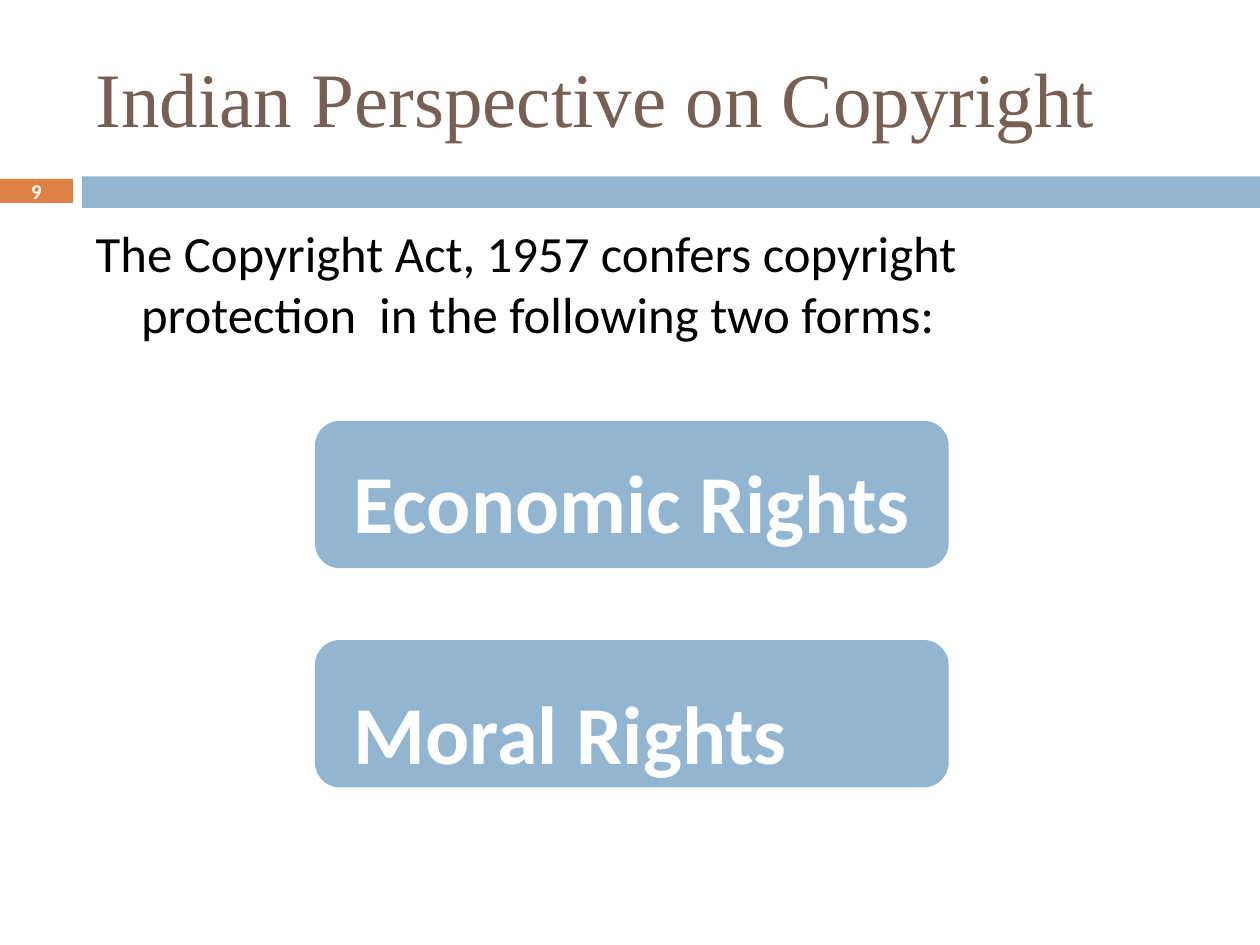
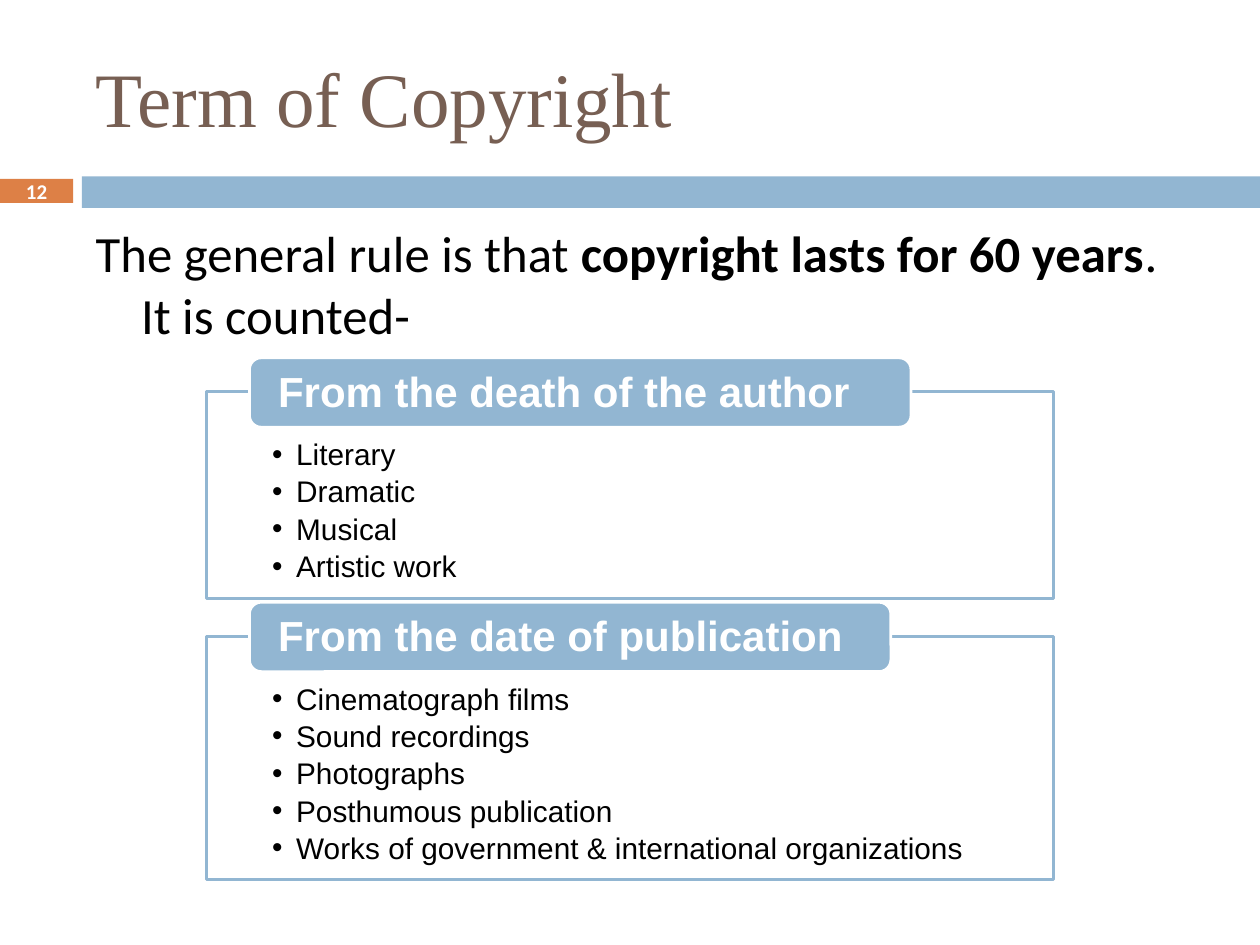
from lxml import etree
from pptx import Presentation
from pptx.dml.color import RGBColor
from pptx.enum.shapes import MSO_SHAPE
from pptx.enum.text import MSO_ANCHOR, MSO_AUTO_SIZE, PP_ALIGN
from pptx.oxml.ns import qn
from pptx.util import Inches, Pt

RECT, ROUNDED = MSO_SHAPE.RECTANGLE, MSO_SHAPE.ROUNDED_RECTANGLE
TOP, MIDDLE = MSO_ANCHOR.TOP, MSO_ANCHOR.MIDDLE
LEFT, CENTER = PP_ALIGN.LEFT, PP_ALIGN.CENTER
FIXED_SIZE = MSO_AUTO_SIZE.NONE
TITLE_AND_CONTENT = 1

BLUE, ORANGE, BROWN, WHITE, BLACK = "92B6D2", "DD8046", "775F53", "FFFFFF", "000000"
CORNER = 0.17

TITLE_FONT = {"name": "Times New Roman", "size": Pt(44), "bold": False}
NUMBER_FONT = {"name": "Calibri", "size": Pt(12), "bold": True}
INTRO_FONT = {"name": "Calibri", "size": Pt(29), "bold": False}
RIGHT_FONT = {"name": "Calibri", "size": Pt(47), "bold": True}
HEADING_FONT = {"name": "Arial", "size": Pt(24), "bold": True}
WORK_FONT = {"name": "Arial", "size": Pt(17), "bold": False}

TITLE_BOX = (0.76, 0.39, 8.5, 0.76)
BAND_BOX = (0.65, 1.4, 9.35, 0.25)
NUMBER_BOX = (0, 1.42, 0.58, 0.19)
INTRO_BOX = (0.76, 1.75, 8.5, 1)


def rgb(hex_colour):
    """Turn a hex string into a colour."""
    return RGBColor.from_string(hex_colour)


def apply(target, values):
    """Set every attribute named in a dict of values."""
    for attribute, value in values.items():
        setattr(target, attribute, value)


def place(shape, box):
    """Move and size a shape to a box in inches."""
    apply(shape, dict(zip(("left", "top", "width", "height"), map(Inches, box))))


def set_indent(paragraph, margin, hanging, bullet=None):
    """Give a paragraph its hanging indent and its bullet, if any."""
    properties = paragraph._p.get_or_add_pPr()
    properties.set("marL", str(Inches(margin)))
    properties.set("indent", str(-Inches(hanging)))
    if bullet:
        etree.SubElement(properties, qn("a:buFont"), typeface="Arial")
        etree.SubElement(properties, qn("a:buChar"), char=bullet)
    else:
        etree.SubElement(properties, qn("a:buNone"))


def write(shape, lines, font, colour, insets=(0, 0.01, 0, 0), anchor=TOP,
          align=LEFT, before=0, indents=((0, 0),), bullet=None):
    """Write lines, each a list of (text, format changes) pieces, in a shape."""
    frame = shape.text_frame
    apply(frame, {"word_wrap": True, "auto_size": FIXED_SIZE, "vertical_anchor": anchor})
    sides = ("margin_left", "margin_top", "margin_right", "margin_bottom")
    apply(frame, dict(zip(sides, map(Inches, insets))))
    for index, pieces in enumerate(lines):
        paragraph = frame.add_paragraph() if index else frame.paragraphs[0]
        apply(paragraph, {"alignment": align, "space_before": Pt(before), "space_after": Pt(0)})
        set_indent(paragraph, *indents[index % len(indents)], bullet)
        for text, changes in pieces:
            run = paragraph.add_run()
            run.text = text
            apply(run.font, {**font, **changes})
            run.font.color.rgb = rgb(colour)


def plain(*texts):
    """Make one unvaried line of each text."""
    return [[(text, {})] for text in texts]


def add_block(slide, kind, box, fill=None, line=None):
    """Draw a flat preset shape in a box."""
    block = slide.shapes.add_shape(kind, *map(Inches, box))
    block.shadow.inherit = False
    if kind == ROUNDED:
        block.adjustments[0] = CORNER
    if fill:
        block.fill.solid()
        block.fill.fore_color.rgb = rgb(fill)
    else:
        block.fill.background()
    if line:
        block.line.color.rgb = rgb(line)
        block.line.width = Pt(1.5)
    else:
        block.line.fill.background()
    return block


def start_slide(deck, title, number, intro, indents):
    """Add a slide with its title, band, number tag and opening text."""
    slide = deck.slides.add_slide(deck.slide_layouts[TITLE_AND_CONTENT])
    opening = slide.placeholders[1]
    place(slide.shapes.title, TITLE_BOX)
    place(opening, INTRO_BOX)
    write(slide.shapes.title, plain(title), TITLE_FONT, BROWN, before=0.9)
    write(opening, intro, INTRO_FONT, BLACK, before=0.5, indents=indents)
    add_block(slide, RECT, BAND_BOX, BLUE)
    tag = add_block(slide, RECT, NUMBER_BOX, ORANGE)
    write(tag, plain(number), NUMBER_FONT, WHITE, (0, 0, 0, 0), MIDDLE, CENTER)
    return slide


def add_right(slide, box, name, text_drop):
    """Draw a form of right, its name set down from the top of the box."""
    right = add_block(slide, ROUNDED, box, BLUE)
    write(right, plain(name), RIGHT_FONT, WHITE, (0.25, text_drop, 0, 0))


def add_term(slide, box, heading, heading_width, works):
    """Draw a framed list of works with a heading across its top edge."""
    left, top, _, _ = box
    frame = add_block(slide, RECT, box, line=BLUE)
    write(frame, plain(*works), WORK_FONT, BLACK, (0.52, 0.35, 0.1, 0),
          before=0.9, indents=((0.19, 0.19),), bullet="•")
    label = add_block(slide, ROUNDED, (left + 0.34, top - 0.27, heading_width, 0.55), BLUE, WHITE)
    write(label, plain(heading), HEADING_FONT, WHITE, (0.2, 0, 0, 0.03), MIDDLE)


def build_perspective(deck):
    """Build the slide on the two forms of protection."""
    intro = plain("The Copyright Act, 1957 confers copyright protection  "
                  "in the following two forms:")
    slide = start_slide(deck, "Indian Perspective on Copyright", "9", intro, ((0.36, 0.36),))
    rights = (("Economic Rights", 0.18), ("Moral Rights", 0.28))
    for row, (name, text_drop) in enumerate(rights):
        add_right(slide, (2.5, 3.34 + 1.74 * row, 5.03, 1.17), name, text_drop)


def build_term(deck):
    """Build the slide on how long copyright lasts."""
    intro = [
        [("The general rule is that ", {}),
         ("copyright lasts for 60 years", {"bold": True}), (".", {})],
        [("It is counted-", {})],
    ]
    slide = start_slide(deck, "Term of Copyright", "12", intro, ((0, 0), (0.36, 0)))
    add_term(slide, (1.64, 5.05, 6.72, 1.93), "From the date of publication", 5.09,
             ("Cinematograph films", "Sound recordings", "Photographs",
              "Posthumous publication", "Works of government & international organizations"))
    add_term(slide, (1.64, 3.11, 6.72, 1.64), "From the death of the author", 5.25,
             ("Literary", "Dramatic", "Musical", "Artistic work"))


def main():
    """Build and save the deck."""
    deck = Presentation()
    apply(deck, {"slide_width": Inches(10), "slide_height": Inches(7.5)})
    build_perspective(deck)
    build_term(deck)
    deck.save("out.pptx")


if __name__ == "__main__":
    main()
